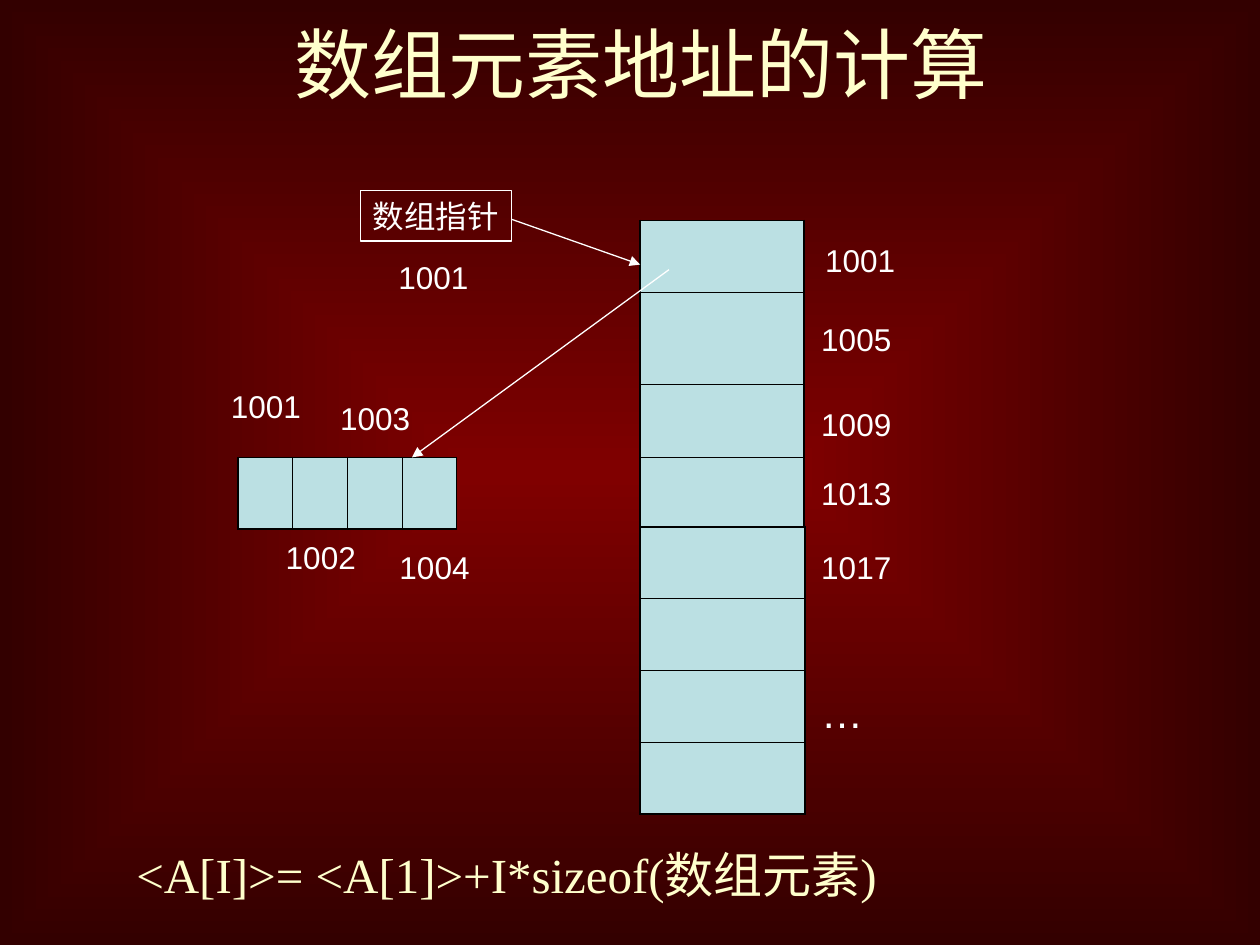
from lxml import etree
from pptx import Presentation
from pptx.dml.color import RGBColor
from pptx.enum.shapes import MSO_CONNECTOR
from pptx.enum.text import MSO_ANCHOR, MSO_AUTO_SIZE, PP_ALIGN
from pptx.oxml.ns import qn
from pptx.util import Pt

STRAIGHT = MSO_CONNECTOR.STRAIGHT
MIDDLE = MSO_ANCHOR.MIDDLE
GROW, FIXED = MSO_AUTO_SIZE.SHAPE_TO_FIT_TEXT, MSO_AUTO_SIZE.NONE
CENTER, LEFT = PP_ALIGN.CENTER, PP_ALIGN.LEFT
WHITE, CREAM, PALE_BLUE, BLACK = "FFFFFF", "FFFFCC", "BBE0E3", "000000"


def rgb(value):
    return RGBColor.from_string(value)


def add_text(text, x, y, w, h, size=18, color=WHITE, font="Arial", align=LEFT):
    sp = s.shapes.add_textbox(Pt(x), Pt(y), Pt(w), Pt(h))
    tf = sp.text_frame
    tf.word_wrap = w > 100
    tf.auto_size = GROW
    p = tf.paragraphs[0]
    p.alignment = align
    r = p.add_run()
    r.text = text
    r.font.size = Pt(size)
    r.font.name = font
    r.font.color.rgb = rgb(color)
    return sp


prs = Presentation()
prs.slide_width, prs.slide_height = Pt(720), Pt(540)
s = prs.slides.add_slide(prs.slide_layouts[6])

fill = s.background.fill
fill.gradient()
for stop, color in zip(fill.gradient_stops, ("800000", "330000")):
    stop.color.rgb = rgb(color)
grad = s.element.find(".//" + qn("a:gradFill"))
grad.remove(grad.find(qn("a:lin")))
center = etree.SubElement(grad, qn("a:path"), path="rect")
etree.SubElement(center, qn("a:fillToRect"), l="50000", t="50000", r="50000", b="50000")

title = add_text("数组元素地址的计算", 42.5, 0, 648, 71.3, 44, CREAM, align=CENTER)
title.text_frame.vertical_anchor = MIDDLE
title.text_frame.auto_size = FIXED

tables = [
    (365.8, 126, [93.6], [41, 52.5, 42, 41]),
    (365.8, 301, [94.3], [41] * 4),
    (136.1, 261.4, [31.2] * 4, [41]),
]
for x, y, widths, heights in tables:
    rows, cols = len(heights), len(widths)
    frame = s.shapes.add_table(rows, cols, Pt(x), Pt(y), Pt(sum(widths)), Pt(sum(heights)))
    table = frame.table
    for column, width in zip(table.columns, widths):
        column.width = Pt(width)
    for row, height in zip(table.rows, heights):
        row.height = Pt(height)
    for i in range(rows):
        for j in range(cols):
            cell = table.cell(i, j)
            edges = {"a:lnL": j == 0, "a:lnR": j == cols - 1,
                     "a:lnT": i == 0, "a:lnB": i == rows - 1}
            for tag, outer in edges.items():
                width = Pt(1.08 if outer else 0.45)
                ln = etree.SubElement(cell._tc.get_or_add_tcPr(), qn(tag), w=str(width))
                solid = etree.SubElement(ln, qn("a:solidFill"))
                etree.SubElement(solid, qn("a:srgbClr"), val=BLACK)
            cell.fill.solid()
            cell.fill.fore_color.rgb = rgb(PALE_BLUE)

pointer = add_text("数组指针", 205.9, 108.9, 86.4, 28.8)
pointer.line.color.rgb = rgb(WHITE)
pointer.line.width = Pt(0.75)

labels = [
    ("1001", 464.4, 134.2), ("1005", 462.2, 179.3), ("1009", 462.2, 227.8),
    ("1013", 462.2, 267.1), ("1017", 462.2, 309.6),
    ("1001", 124.8, 217.4), ("1002", 156.2, 303.8),
    ("1003", 187.2, 224.6), ("1004", 221.2, 309.6),
    ("1001", 220.5, 144),
]
for text, x, y in labels:
    add_text(text, x, y, 54.5, 28.8)
add_text("…", 462.2, 388.8, 38.4, 36, 24)
add_text("<A[I]>= <A[1]>+I*sizeof(数组元素)", 70.8, 478.8, 481.7, 41, 28, CREAM, "Times New Roman")

arrows = [(292.3, 125.3, 365.8, 151.2), (382.3, 154.1, 235.4, 261.4)]
for ends in arrows:
    arrow = s.shapes.add_connector(STRAIGHT, *map(Pt, ends))
    arrow.line.color.rgb = rgb(WHITE)
    arrow.line.width = Pt(0.75)
    etree.SubElement(arrow.line._get_or_add_ln(), qn("a:tailEnd"), type="triangle")
    etree.SubElement(arrow._element.spPr, qn("a:effectLst"))

prs.save("out.pptx")
